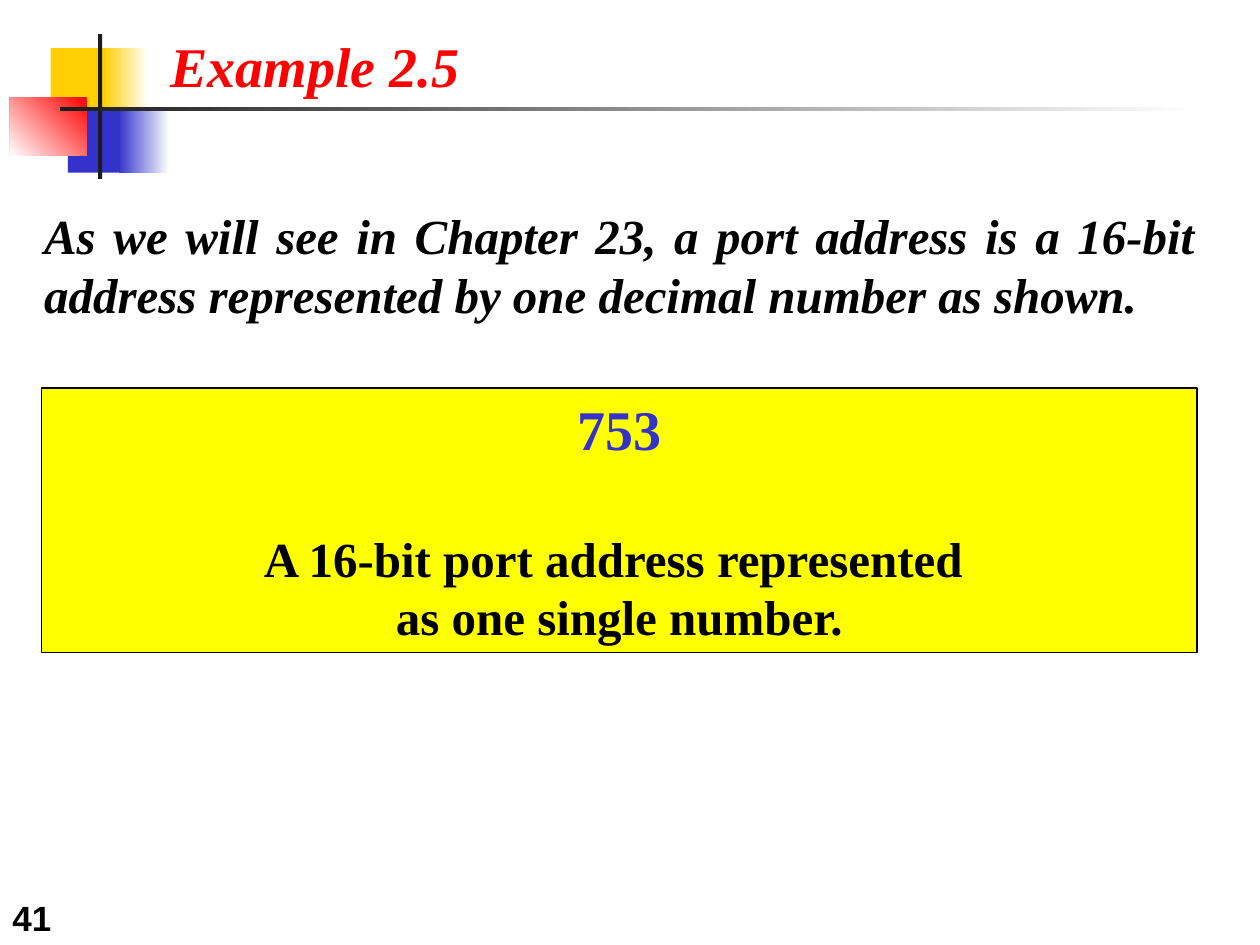
from dataclasses import dataclass

from lxml import etree
from pptx import Presentation
from pptx.dml.color import RGBColor
from pptx.enum.shapes import MSO_SHAPE
from pptx.enum.text import MSO_ANCHOR, MSO_AUTO_SIZE, PP_ALIGN
from pptx.oxml.ns import qn
from pptx.util import Cm, Pt

RECTANGLE = MSO_SHAPE.RECTANGLE
TOP, BOTTOM = MSO_ANCHOR.TOP, MSO_ANCHOR.BOTTOM
LEFT, CENTER, JUSTIFY = PP_ALIGN.LEFT, PP_ALIGN.CENTER, PP_ALIGN.JUSTIFY
NO_AUTOFIT = MSO_AUTO_SIZE.NONE


@dataclass(frozen=True)
class Theme:
    serif: str = "Times New Roman"
    sans: str = "Arial"
    heading: int = 32
    text: int = 28
    number: int = 20
    red: str = "FF0000"
    gold: str = "FFCF01"
    blue: str = "3333CC"
    yellow: str = "FFFF00"
    charcoal: str = "1C1C1C"
    black: str = "000000"
    white: str = "FFFFFF"


THEME = Theme()

TITLE = "Example 2.5"
STATEMENT = ("As we will see in Chapter 23, a port address is a 16-bit "
             "address represented by one decimal number as shown.")
PORT = "753"
CAPTION = "A 16-bit port address represented \vas one single number."
PAGE = "41"

TITLE_BOX = (3.18, 0.51, 6.35, 1.63)
STATEMENT_BOX = (0.64, 4.01, 23.7, 2.64)
PORT_BOX = (0.84, 7.82, 23.29, 5.33)
PAGE_BOX = (0, 17.78, 5.28, 1.27)

ORNAMENT = [
    ((1.02, 0.97, 1.22, 1.32), (THEME.gold,), 0),
    ((2.08, 0.97, 0.91, 1.32), (THEME.white, THEME.gold), 180),
    ((1.37, 2.16, 1.17, 1.32), (THEME.blue,), 0),
    ((2.39, 2.16, 1.02, 1.32), (THEME.white, THEME.blue), 180),
    ((0.2, 1.96, 1.55, 1.17), (THEME.red, THEME.white), 225),
    ((1.98, 0.69, 0.08, 2.92), (THEME.charcoal,), 0),
    ((1.22, 2.16, 22.86, 0.08), (THEME.white, THEME.charcoal), 180),
]


def rgb(color):
    return RGBColor.from_string(color)


def lengths(box):
    return [Cm(value) for value in box]


def place(placeholder, box):
    placeholder.left, placeholder.top, placeholder.width, placeholder.height = lengths(box)


def add_block(slide, box, colors, angle=0):
    block = slide.shapes.add_shape(RECTANGLE, *lengths(box))
    block.shadow.inherit = False
    block.line.fill.background()
    if len(colors) == 1:
        block.fill.solid()
        block.fill.fore_color.rgb = rgb(colors[0])
    else:
        block.fill.gradient()
        block.fill.gradient_angle = angle
        for stop, color, position in zip(block.fill.gradient_stops, colors, (0, 1)):
            stop.color.rgb = rgb(color)
            stop.position = position
    return block


def set_frame(frame, anchor=TOP, wrap=True):
    frame.auto_size = NO_AUTOFIT
    frame.word_wrap = wrap
    frame.vertical_anchor = anchor
    frame.margin_left = frame.margin_right = Cm(0.25)
    frame.margin_top = frame.margin_bottom = Cm(0.13)


def write(paragraph, text, size, color, align=LEFT, font=THEME.serif, italic=False):
    paragraph.text = text
    paragraph.alignment = align
    paragraph.space_before = Pt(0)
    for run in paragraph.runs:
        run.font.name = font
        run.font.size = Pt(size)
        run.font.bold = True
        run.font.italic = italic
        run.font.color.rgb = rgb(color)


def remove_bullet(paragraph):
    properties = paragraph._p.get_or_add_pPr()
    properties.set("marL", "0")
    properties.set("indent", "0")
    etree.SubElement(properties, qn("a:buNone"))


def main():
    """Build the port address example slide."""
    deck = Presentation()
    deck.slide_width, deck.slide_height = Cm(25.4), Cm(19.05)
    slide = deck.slides.add_slide(deck.slide_layouts[1])

    for box, colors, angle in ORNAMENT:
        add_block(slide, box, colors, angle)

    title, statement = slide.placeholders
    place(title, TITLE_BOX)
    set_frame(title.text_frame, wrap=False)
    write(title.text_frame.paragraphs[0], TITLE, THEME.heading, THEME.red, italic=True)

    place(statement, STATEMENT_BOX)
    set_frame(statement.text_frame)
    sentence = statement.text_frame.paragraphs[0]
    write(sentence, STATEMENT, THEME.text, THEME.black, JUSTIFY, italic=True)
    remove_bullet(sentence)

    panel = add_block(slide, PORT_BOX, (THEME.yellow,))
    panel.line.color.rgb = rgb(THEME.black)
    panel.line.width = Pt(0.75)
    set_frame(panel.text_frame)
    port = panel.text_frame.paragraphs[0]
    write(port, PORT, THEME.heading, THEME.blue, CENTER)
    port.space_after = Pt(38)
    caption = panel.text_frame.add_paragraph()
    write(caption, CAPTION, THEME.text, THEME.black, CENTER)

    page = slide.shapes.add_textbox(*lengths(PAGE_BOX))
    set_frame(page.text_frame, BOTTOM)
    write(page.text_frame.paragraphs[0], PAGE, THEME.number, THEME.black, font=THEME.sans)

    deck.save("out.pptx")


if __name__ == "__main__":
    main()
